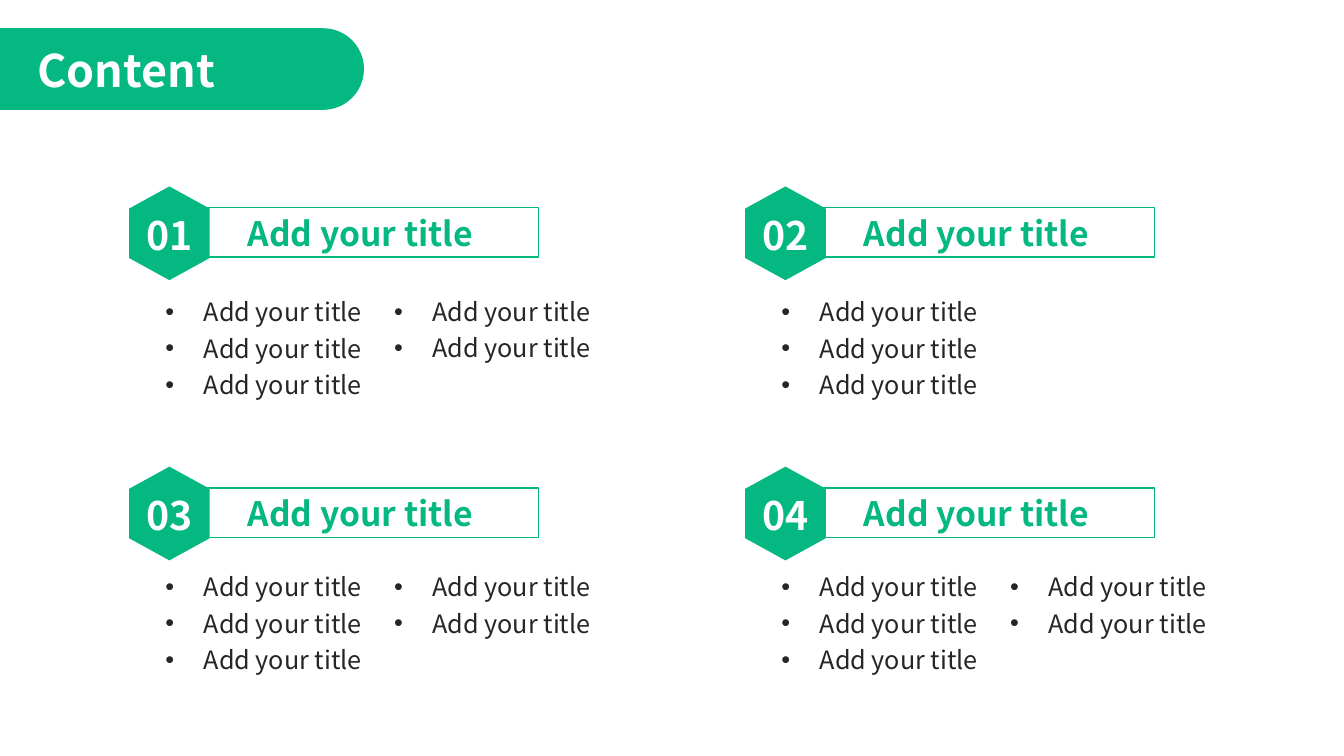
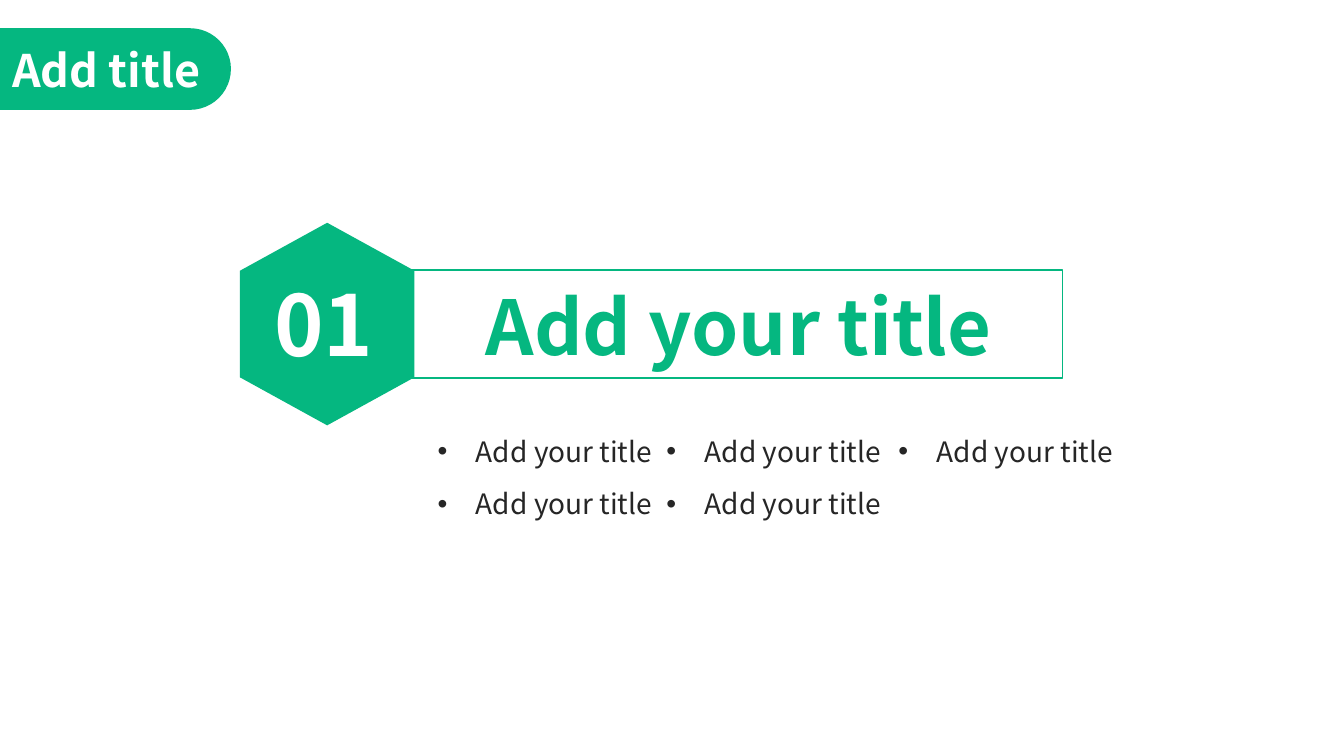
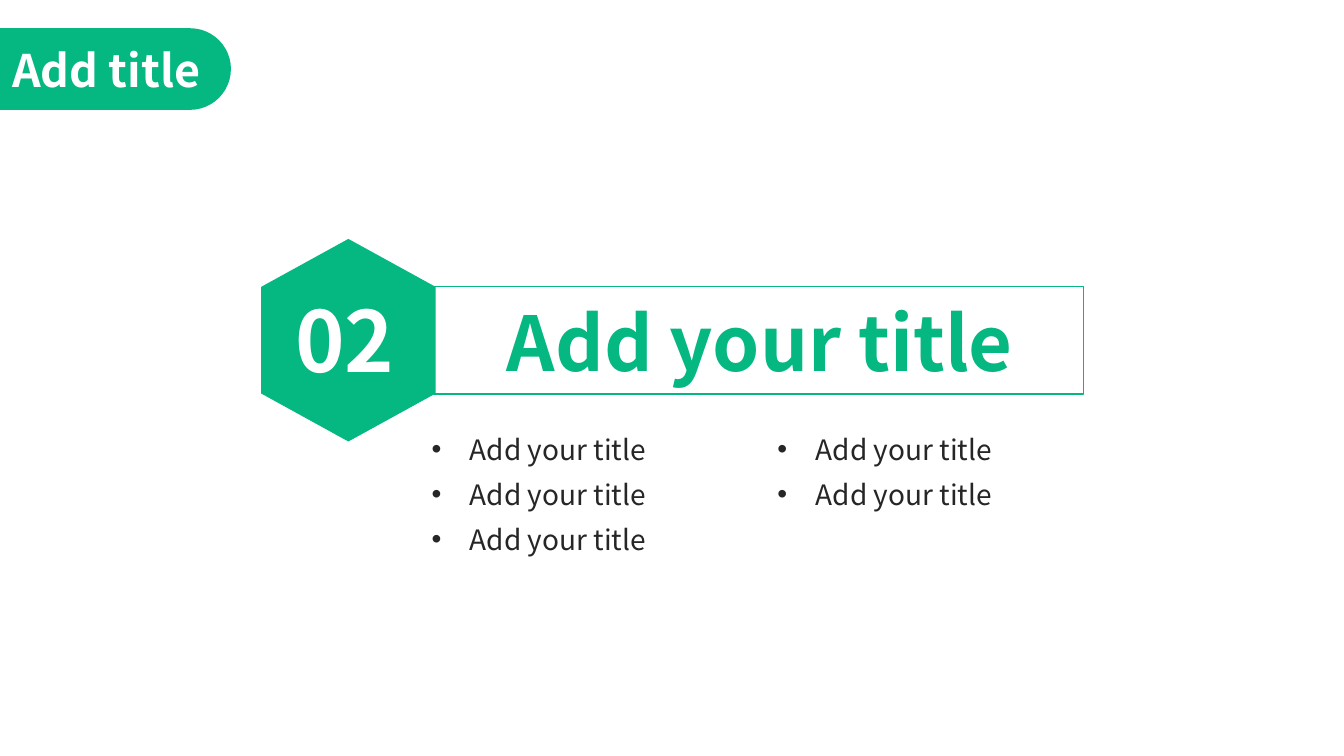
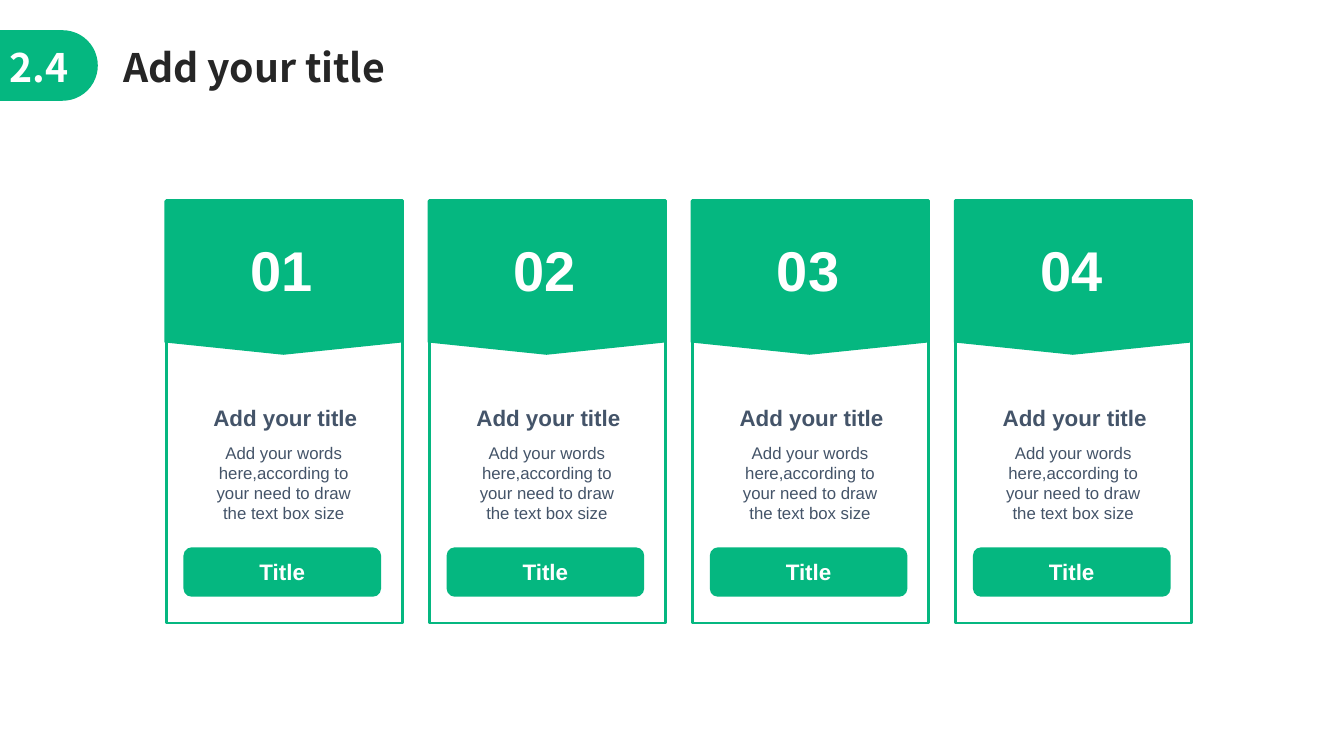
from dataclasses import dataclass

from lxml.etree import SubElement
from pptx import Presentation
from pptx.dml.color import RGBColor
from pptx.enum.shapes import MSO_SHAPE
from pptx.enum.text import MSO_ANCHOR, MSO_AUTO_SIZE, PP_ALIGN
from pptx.oxml.ns import qn
from pptx.util import Inches, Pt

COLORS = {"green": "05B780", "white": "FFFFFF", "ink": "262626", "slate": "445469"}
HEADING_FONT = "Noto Sans CJK SC"
CARD_FONT = "Arial"
COMPARISON, TITLE_ONLY = 4, 5
ITEM = "Add your title"
INDENT = 0.38


@dataclass
class Badge:
    hexagon: tuple
    frame: tuple
    heading: tuple
    number: tuple
    heading_size: int
    number_size: int


SMALL_BADGE = Badge((0, 0, 0.8, 0.93), (0.78, 0.21, 3.28, 0.49),
                    (1.08, 0.21, 2.73, 0.5), (0.07, 0.2, 0.82, 0.57), 24, 28)
LARGE_BADGE = Badge((0, 0, 1.73, 2.01), (1.69, 0.47, 6.47, 1.07),
                    (2.34, 0.52, 5.6, 1.01), (0.24, 0.44, 1.32, 1.11), 54, 60)


def rgb(name):
    return RGBColor.from_string(COLORS[name])


def offset(origin, box):
    return (origin[0] + box[0], origin[1] + box[1], *box[2:])


def place(shape, box):
    shape.left, shape.top, shape.width, shape.height = map(Inches, box)


def style(paragraph, size, color, bold=False, font=HEADING_FONT, align=PP_ALIGN.LEFT):
    paragraph.alignment = align
    paragraph.font.size = Pt(size)
    paragraph.font.bold = bold
    paragraph.font.name = font
    paragraph.font.color.rgb = rgb(color)


def prepare_frame(shape, margin=None):
    frame = shape.text_frame
    frame.word_wrap = True
    frame.auto_size = MSO_AUTO_SIZE.NONE
    frame.vertical_anchor = MSO_ANCHOR.TOP
    if margin is not None:
        frame.margin_left = frame.margin_right = Inches(margin)
        frame.margin_top = frame.margin_bottom = Inches(margin)
    return frame


def add_text(slide, box, text, size, color, margin=None, **look):
    label = slide.shapes.add_textbox(*map(Inches, box))
    frame = prepare_frame(label, margin)
    frame.text = text
    style(frame.paragraphs[0], size, color, **look)


def add_panel(slide, kind, box, fill=None, line=None, line_width=1):
    panel = slide.shapes.add_shape(kind, *map(Inches, box))
    panel.shadow.inherit = False
    if fill:
        panel.fill.solid()
        panel.fill.fore_color.rgb = rgb(fill)
    else:
        panel.fill.background()
    if line:
        panel.line.color.rgb = rgb(line)
        panel.line.width = Pt(line_width)
    else:
        panel.line.fill.background()
    return panel


def add_turned(slide, kind, box, adjustment):
    left, top, width, height = box
    shift = (width - height) / 2
    turned = add_panel(slide, kind, (left + shift, top - shift, height, width), "green")
    turned.rotation = 90
    turned.adjustments[0] = adjustment
    return turned


def add_title(slide, box, text, size, color):
    title = slide.shapes.title
    place(title, box)
    frame = prepare_frame(title)
    frame.text = text
    style(frame.paragraphs[0], size, color, bold=True)


def add_pill(slide, box):
    pill = add_turned(slide, MSO_SHAPE.ROUND_2_SAME_RECTANGLE, box, 0.5)
    slide.shapes.element.insert(2, pill.element)


def add_banner(slide, text, pill_width, title_left):
    add_pill(slide, (0, 0.28, pill_width, 0.81))
    add_title(slide, (title_left, 0.37, pill_width - title_left, 0.64), text, 32, "white")


def add_badge(slide, origin, badge, number):
    add_panel(slide, MSO_SHAPE.RECTANGLE, offset(origin, badge.frame), line="green")
    add_text(slide, offset(origin, badge.heading), ITEM, badge.heading_size, "green", bold=True)
    add_turned(slide, MSO_SHAPE.HEXAGON, offset(origin, badge.hexagon), 0.275)
    add_text(slide, offset(origin, badge.number), number, badge.number_size, "white", bold=True)


def add_bullets(holder, box, count, size, gap):
    place(holder, box)
    frame = prepare_frame(holder)
    frame.text = "\n".join([ITEM] * count)
    for index, paragraph in enumerate(frame.paragraphs):
        paragraph.space_before = Pt(gap if index else 0)
        properties = paragraph._p.get_or_add_pPr()
        properties.set("marL", str(Inches(INDENT)))
        properties.set("indent", str(-Inches(INDENT)))
        SubElement(properties, qn("a:buFont"), typeface="Arial")
        SubElement(properties, qn("a:buChar"), char="•")
        style(paragraph, size, "ink")


def body_placeholders(slide):
    return [holder for holder in slide.placeholders if holder.placeholder_format.idx]


def remove_empty(slide):
    for holder in body_placeholders(slide):
        if not holder.text_frame.text:
            holder.element.getparent().remove(holder.element)


def build_contents(prs):
    slide = prs.slides.add_slide(prs.slide_layouts[COMPARISON])
    add_banner(slide, "Content", 3.61, 0.27)
    column_counts = [(3, 2), (3,), (3, 2), (3, 2)]
    for index, (holder, counts) in enumerate(zip(body_placeholders(slide), column_counts)):
        row, column = divmod(index, 2)
        origin = (1.28 + 6.11 * column, 1.85 + 2.78 * row)
        add_badge(slide, origin, SMALL_BADGE, f"{index + 1:02}")
        list_top = 1.04 - 0.05 * row
        for position, count in enumerate(counts):
            target = slide.shapes.add_textbox(0, 0, 0, 0) if position else holder
            box = offset(origin, (0.26 + 2.27 * position, list_top, 2.4, 1.3))
            add_bullets(target, box, count, 18, 4.5)


def build_section(prs, number, origin, list_at, columns, gap):
    slide = prs.slides.add_slide(prs.slide_layouts[COMPARISON])
    add_banner(slide, "Add title", 2.29, 0.02)
    add_badge(slide, origin, LARGE_BADGE, number)
    for holder, (shift, count) in zip(body_placeholders(slide), columns):
        box = (list_at[0] + shift, list_at[1], 2.5, 0.53 * count)
        add_bullets(holder, box, count, 20, gap)
    remove_empty(slide)


def add_card(slide, origin, number):
    centred = {"bold": True, "font": CARD_FONT, "align": PP_ALIGN.CENTER}
    add_panel(slide, MSO_SHAPE.RECTANGLE, offset(origin, (0, 0, 2.34, 4.19)), "white", "green", 2)
    add_turned(slide, MSO_SHAPE.PENTAGON, offset(origin, (-0.02, 0, 2.36, 1.53)), 0.08)
    add_text(slide, offset(origin, (0.49, 0.3, 1.31, 0.77)), number, 40, "white", **centred)
    add_text(slide, offset(origin, (0, 2.02, 2.36, 0.27)), ITEM, 16, "slate", 0, **centred)
    add_text(slide, offset(origin, (0.41, 2.4, 1.51, 0.81)),
             "Add your words here,according to your need to draw the text box size",
             12, "slate", 0, font=CARD_FONT, align=PP_ALIGN.CENTER)
    button = add_panel(slide, MSO_SHAPE.ROUNDED_RECTANGLE,
                       offset(origin, (0.17, 3.44, 1.96, 0.49)), "green")
    button.text_frame.text = "Title"
    button.text_frame.vertical_anchor = MSO_ANCHOR.MIDDLE
    style(button.text_frame.paragraphs[0], 16, "white", **centred)


def build_cards(prs):
    slide = prs.slides.add_slide(prs.slide_layouts[TITLE_ONLY])
    add_pill(slide, (0, 0.3, 0.97, 0.7))
    add_text(slide, (0, 0.38, 0.89, 0.57), "2.4", 28, "white", bold=True)
    add_title(slide, (1.12, 0.38, 3.13, 0.57), ITEM, 28, "ink")
    for index in range(4):
        add_card(slide, (1.65 + 2.61 * index, 1.99), f"{index + 1:02}")


def main():
    prs = Presentation()
    prs.slide_width, prs.slide_height = Inches(13.33), Inches(7.5)
    build_contents(prs)
    build_section(prs, "01", (2.38, 2.21), (4.24, 4.26), [(0, 2), (2.27, 2), (4.57, 1)], 13.5)
    build_section(prs, "02", (2.59, 2.37), (4.18, 4.24), [(0, 3), (3.43, 2)], 8)
    build_cards(prs)
    prs.save("out.pptx")


if __name__ == "__main__":
    main()
